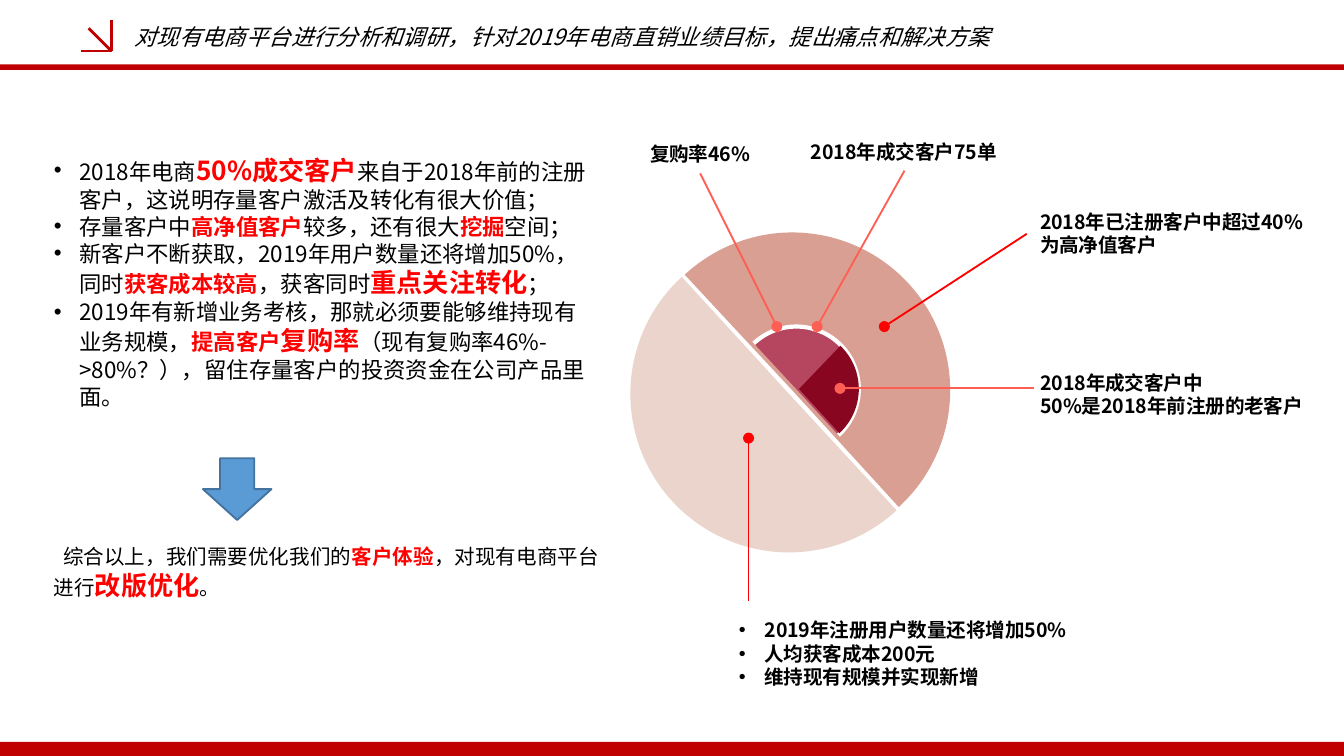
from dataclasses import dataclass

import pptx
import pptx.dml.color
import pptx.enum.shapes
import pptx.enum.text
import pptx.oxml.ns
import pptx.util
from lxml import etree

Inches, Pt = pptx.util.Inches, pptx.util.Pt
Color = pptx.dml.color.RGBColor
Kind = pptx.enum.shapes.MSO_SHAPE
Align = pptx.enum.text.PP_ALIGN
Anchor = pptx.enum.text.MSO_ANCHOR

FONT = "Noto Sans CJK SC"
BLACK = Color(0x00, 0x00, 0x00)
WHITE = Color(0xFF, 0xFF, 0xFF)
RED = Color(0xFF, 0x00, 0x00)
CORAL = Color(0xFE, 0x5F, 0x55)
BRAND = Color(0xC0, 0x00, 0x00)
PALE = Color(0xEB, 0xD4, 0xCB)
ROSE = Color(0xDA, 0x9F, 0x93)
BERRY = Color(0xB6, 0x46, 0x5F)
WINE = Color(0x89, 0x06, 0x20)
BLUE = Color(0x5B, 0x9B, 0xD5)
NAVY = Color(0x43, 0x73, 0x9E)


@dataclass
class Run:
    text: str
    size: float = 12
    hot: bool = False


@dataclass
class Wedge:
    left: float
    top: float
    size: float
    turn: float
    start: float
    fill: Color
    edge: bool = False


@dataclass
class Label:
    box: tuple
    lines: list
    align: Align = Align.LEFT
    bullet: bool = False


@dataclass
class Line:
    start: tuple
    end: tuple
    color: Color
    width: float = 1
    dot: bool = True


TITLE = "对现有电商平台进行分析和调研，针对2019年电商直销业绩目标，提出痛点和解决方案"
POINTS = [
    [Run("2018年电商"), Run("50%成交客户", 14, True),
     Run("来自于2018年前的注册客户，这说明存量客户激活及转化有很大价值；")],
    [Run("存量客户中"), Run("高净值客户", hot=True), Run("较多，还有很大"),
     Run("挖掘", hot=True), Run("空间；")],
    [Run("新客户不断获取，2019年用户数量还将增加50%，同时"),
     Run("获客成本较高", hot=True), Run("，获客同时"),
     Run("重点关注转化", 14, True), Run("；")],
    [Run("2019年有新增业务考核，那就必须要能够维持现有业务规模，"),
     Run("提高客户", hot=True), Run("复购率", 14, True),
     Run("（现有复购率46%->80%？），留住存量客户的投资资金在公司产品里面。")],
]
RESULT = [Run("综合以上，我们需要优化我们的", 11), Run("客户体验", 11, True),
          Run("，对现有电商平台进行", 11), Run("改版优化", 14, True), Run("。", 11)]

WEDGES = [
    Wedge(4.69, 1.75, 2.36, 227.5, 107.86, PALE),
    Wedge(4.72, 1.73, 2.35, 47.6, 107.68, ROSE),
    Wedge(5.46, 2.43, 0.93, 47.6, 107.68, BERRY, True),
    Wedge(5.5, 2.45, 0.89, 47.6, 159.69, WINE),
]
LABELS = [
    Label((4.73, 1.01, 0.96, 0.28), ["复购率46%"], Align.CENTER),
    Label((5.91, 0.99, 1.63, 0.28), ["2018年成交客户75单"], Align.CENTER),
    Label((7.64, 1.51, 2.27, 0.45), ["2018年已注册客户中超过40%为高净值客户"]),
    Label((7.64, 2.71, 2.21, 0.45), ["2018年成交客户中", "50%是2018年前注册的老客户"]),
    Label((5.4, 4.55, 2.69, 0.63),
          ["2019年注册用户数量还将增加50%", "人均获客成本200元", "维持现有规模并实现新增"],
          bullet=True),
]
CORNER = (0.83, 0.38)
LINES = [
    Line((0.6, 0.38), CORNER, BRAND, 1.5, False),
    Line((0.83, 0.15), CORNER, BRAND, 1.5, False),
    Line((0.66, 0.21), CORNER, BRAND, 1.5, False),
    Line((5.21, 1.29), (5.78, 2.43), CORAL),
    Line((6.73, 1.27), (6.08, 2.43), CORAL),
    Line((7.64, 1.74), (6.58, 2.43), RED),
    Line((7.69, 2.89), (6.25, 2.89), CORAL),
    Line((5.57, 4.47), (5.57, 3.26), RED),
]


def add_node(root, tag: str, **attrs):
    return etree.SubElement(root, pptx.oxml.ns.qn(tag), **attrs)


def add_run(para, text: str, **style) -> None:
    """Add a run; style holds font values, with color kept apart."""
    run = para.add_run()
    run.text = text
    run.font.color.rgb = style.pop("color", BLACK)
    for key, value in {"name": FONT, **style}.items():
        setattr(run.font, key, value)
    add_node(run.font._element, "a:ea", typeface=FONT)


def set_para(para, bullet: bool, indent: float = 0, before: float = 0) -> None:
    """Set the bullet, the first-line indent and the spacing."""
    props = para._p.get_or_add_pPr()
    props.set("marL", str(Inches(0.19 if bullet else 0)))
    props.set("indent", str(Inches(-0.19 if bullet else indent)))
    if bullet:
        add_node(props, "a:buFont", typeface="Arial")
        add_node(props, "a:buChar", char="•")
    else:
        add_node(props, "a:buNone")
    para.space_before = Pt(before)


def next_para(frame, index: int):
    return frame.add_paragraph() if index else frame.paragraphs[0]


def place(shape, box: tuple) -> None:
    for key, value in zip(("left", "top", "width", "height"), box):
        setattr(shape, key, Inches(value))


def add_form(slide, kind: Kind, box: tuple, fill: Color):
    shape = slide.shapes.add_shape(kind, *map(Inches, box))
    shape.shadow.inherit = False
    shape.fill.solid()
    shape.fill.fore_color.rgb = fill
    shape.line.fill.background()
    return shape


def set_line(shape, color: Color, width: float) -> None:
    shape.line.color.rgb = color
    shape.line.width = Pt(width)


def add_wedge(slide, wedge: Wedge) -> None:
    box = (wedge.left, wedge.top, wedge.size, wedge.size)
    shape = add_form(slide, Kind.ARC, box, wedge.fill)
    shape.adjustments[0] = wedge.start
    shape.adjustments[1] = 0
    shape.rotation = wedge.turn
    if wedge.edge:
        set_line(shape, WHITE, 2.25)


def add_line(slide, line: Line) -> None:
    shape = slide.shapes.add_connector(
        pptx.enum.shapes.MSO_CONNECTOR.STRAIGHT,
        *map(Inches, line.start + line.end))
    set_line(shape, line.color, line.width)
    if line.dot:
        add_node(shape.line._get_or_add_ln(), "a:tailEnd", type="oval")
    add_node(shape._element.spPr, "a:effectLst")


def add_label(slide, label: Label) -> None:
    frame = slide.shapes.add_textbox(*map(Inches, label.box)).text_frame
    frame.word_wrap = True
    for index, text in enumerate(label.lines):
        para = next_para(frame, index)
        set_para(para, label.bullet)
        para.alignment = label.align
        add_run(para, text, size=Pt(10.5), bold=True)


def fill_title(shape) -> None:
    place(shape, (0.9, 0.11, 7.32, 0.33))
    frame = shape.text_frame
    frame.vertical_anchor = Anchor.MIDDLE
    frame.auto_size = pptx.enum.text.MSO_AUTO_SIZE.NONE
    frame.paragraphs[0].alignment = Align.LEFT
    add_run(frame.paragraphs[0], TITLE, size=Pt(12), italic=True)


def fill_body(shape) -> None:
    place(shape, (0.3, 1.1, 4.26, 3.45))
    frame = shape.text_frame
    frame.auto_size = pptx.enum.text.MSO_AUTO_SIZE.NONE
    for index, runs in enumerate(POINTS + [RESULT]):
        para = next_para(frame, index)
        if runs is RESULT:
            set_para(para, False, indent=0.07, before=72)
        else:
            set_para(para, True)
        for run in runs:
            add_run(para, run.text, size=Pt(run.size), bold=run.hot,
                    color=RED if run.hot else BLACK)


def main() -> None:
    deck = pptx.Presentation()
    deck.slide_width = Inches(10)
    deck.slide_height = deck.slide_width * 9 // 16
    slide = deck.slides.add_slide(deck.slide_layouts[1])
    fill_title(slide.shapes.title)
    fill_body(slide.placeholders[1])
    for top, height in ((0.48, 0.04), (5.52, 0.12)):
        add_form(slide, Kind.RECTANGLE, (0, top, 10, height), BRAND)
    for wedge in WEDGES:
        add_wedge(slide, wedge)
    for line in LINES:
        add_line(slide, line)
    for label in LABELS:
        add_label(slide, label)
    arrow = add_form(slide, Kind.DOWN_ARROW, (1.51, 3.41, 0.51, 0.46), BLUE)
    set_line(arrow, NAVY, 1)
    deck.save("out.pptx")


if __name__ == "__main__":
    main()
